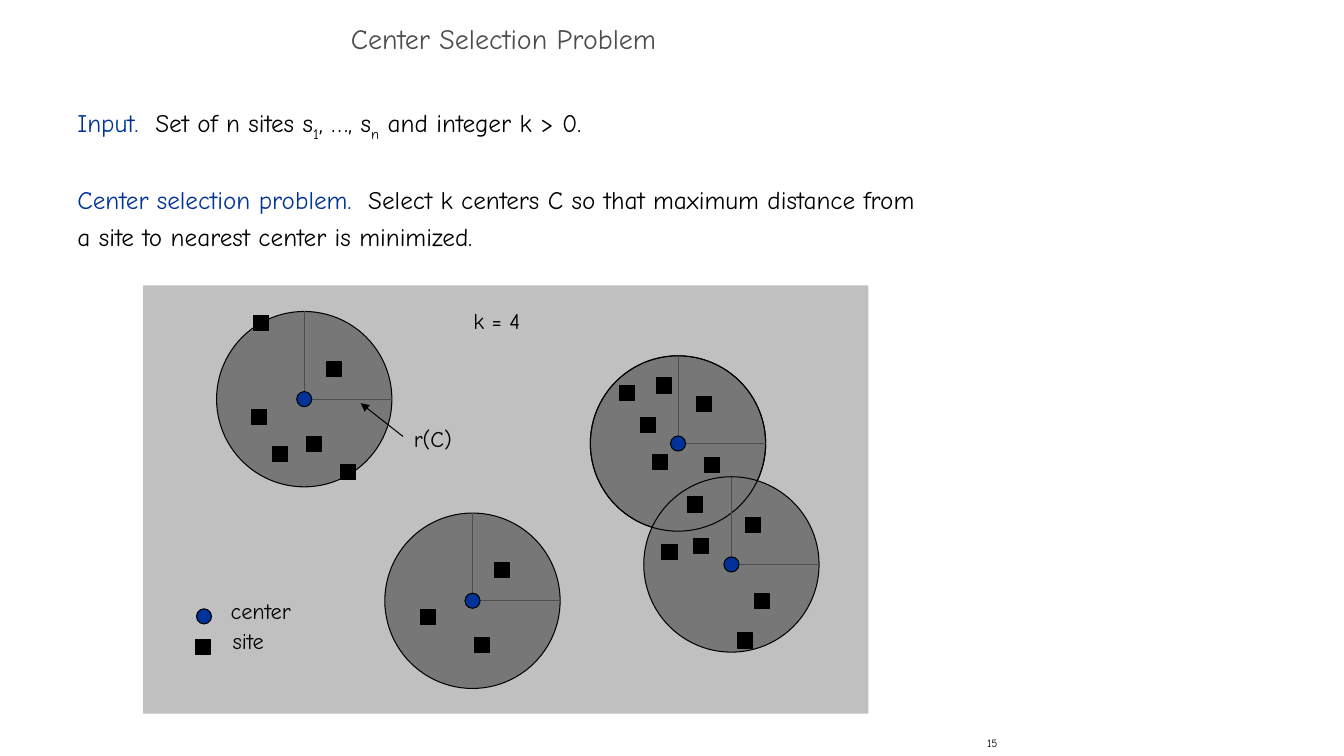
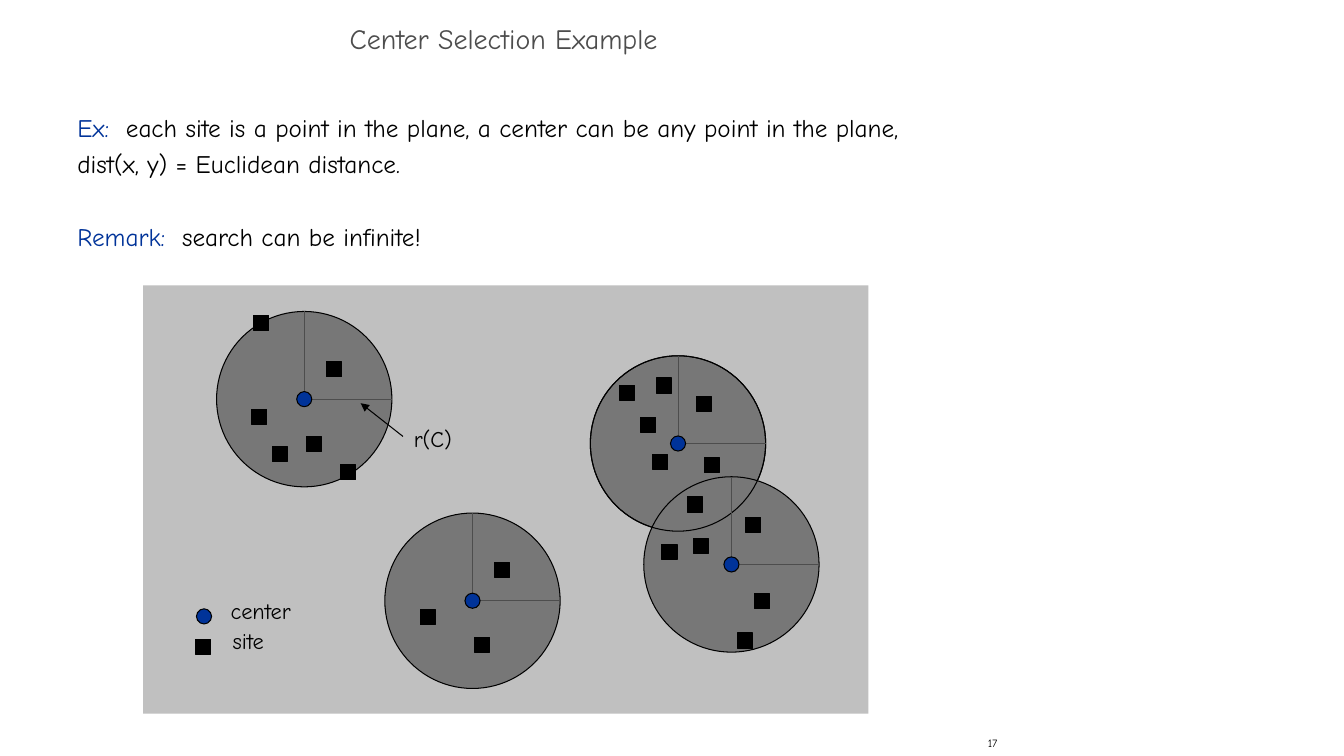
from lxml import etree
from pptx import Presentation
from pptx.dml.color import RGBColor
from pptx.enum.shapes import MSO_CONNECTOR, MSO_SHAPE
from pptx.enum.text import MSO_ANCHOR, MSO_AUTO_SIZE, PP_ALIGN
from pptx.oxml.ns import qn
from pptx.util import Inches, Pt

OVAL, SQUARE = MSO_SHAPE.OVAL, MSO_SHAPE.RECTANGLE
STRAIGHT = MSO_CONNECTOR.STRAIGHT
TOP, MIDDLE = MSO_ANCHOR.TOP, MSO_ANCHOR.MIDDLE
LEFT, CENTER, RIGHT = PP_ALIGN.LEFT, PP_ALIGN.CENTER, PP_ALIGN.RIGHT
NO_FIT, GROW = MSO_AUTO_SIZE.NONE, MSO_AUTO_SIZE.SHAPE_TO_FIT_TEXT

FONT = "Comic Neue"
COLORS = {
    "ink": "000000",
    "title": "4D4D4D",
    "accent": "003399",
    "field": "C0C0C0",
    "disc": "777777",
    "radius": "4D4D4D",
}

TITLE_BOX = (0, 0.17, 10, 0.5)
BODY_BOX = (0.67, 1, 8.58, 5.92)
NUMBER_BOX = (7.92, 7.25, 2.08, 0.25)
FIELD_BOX = (1.42, 2.83, 7.2, 4.25)
BODY_LEADING = Pt(26)

# Diagram coordinates are relative to the field's top left corner.
RADIUS = 0.87
MARK = 0.15
CENTERS = [(1.6, 1.13), (5.31, 1.57), (5.84, 2.77), (3.27, 3.13)]
OVERLAPPED = CENTERS[1]
SITES = [
    (1.96, 1.78), (1.1, 0.3), (1.62, 1.5), (1.08, 1.23), (1.28, 1.6),
    (1.82, 0.76), (4.94, 1.31), (5.57, 1.71), (5.1, 0.92), (5.06, 1.68),
    (5.49, 1.1), (4.73, 0.99), (5.4, 2.1), (5.9, 3.45), (6.07, 3.06),
    (5.46, 2.51), (5.15, 2.57), (5.98, 2.3), (3.29, 3.49), (2.75, 3.22),
    (3.49, 2.75),
]
RADIUS_ARROW = ((2.58, 1.5), (2.16, 1.17))
LABELS = [
    ("center", 0.77, 3.05, 0.81),
    ("site", 0.79, 3.34, 0.52),
    ("r(C)", 2.59, 1.34, 0.58),
]
COUNT_LABEL = ("k = 4", 3.18, 0.17, 0.67)
LABEL_HEIGHT = 0.37

SLIDES = [
    {
        "title": "Center Selection Problem",
        "number": "15",
        "body": [
            [("Input.  ", "accent", 0), ("Set of n sites s", "ink", 0),
             ("1", "ink", -25), (", …, s", "ink", 0), ("n", "ink", -25),
             (" and integer k > 0.", "ink", 0)],
            [("Center selection problem.  ", "accent", 0),
             ("Select k centers C so that maximum distance from a site to "
              "nearest center is minimized.", "ink", 0)],
        ],
        "labels": LABELS + [COUNT_LABEL],
    },
    {
        "title": "Center Selection Example",
        "number": "17",
        "body": [
            [("Ex:  ", "accent", 0),
             ("each site is a point in the plane, a center can be any point "
              "in the plane, dist(x, y) = Euclidean distance.", "ink", 0)],
            [("Remark:  ", "accent", 0),
             ("search can be infinite!", "ink", 0)],
        ],
        "labels": LABELS,
    },
]


def rgb(name):
    return RGBColor.from_string(COLORS[name])


def set_all(target, values):
    for name, value in values.items():
        setattr(target, name, value)


def add_text(page, area, paragraphs, size, frame_format=None, para_format=None):
    """Write paragraphs, each a list of (text, colour, baseline percent)."""
    box = page.shapes.add_textbox(*map(Inches, area))
    frame = box.text_frame
    set_all(frame, {"word_wrap": True, "vertical_anchor": TOP,
                    "auto_size": NO_FIT, **(frame_format or {})})
    for index, spans in enumerate(paragraphs):
        para = frame.add_paragraph() if index else frame.paragraphs[0]
        set_all(para, {"alignment": LEFT, **(para_format or {})})
        if index:
            para.space_before = BODY_LEADING
        for text, color, baseline in spans:
            span = para.add_run()
            span.text = text
            set_all(span.font, {"name": FONT, "size": Pt(size)})
            span.font.color.rgb = rgb(color)
            if baseline:
                span.font._element.set("baseline", str(baseline * 1000))


def add_figure(page, kind, area, fill=None, line="ink"):
    shape = page.shapes.add_shape(kind, *map(Inches, area))
    shape.shadow.inherit = False
    if fill:
        shape.fill.solid()
        shape.fill.fore_color.rgb = rgb(fill)
    else:
        shape.fill.background()
    if line:
        shape.line.color.rgb = rgb(line)
        shape.line.width = Pt(0.75)
    else:
        shape.line.fill.background()


def add_line(page, start, end, color, arrow=False):
    line = page.shapes.add_connector(STRAIGHT, *map(Inches, (*start, *end)))
    line.line.color.rgb = rgb(color)
    line.line.width = Pt(0.75)
    if arrow:
        outline = line.line._get_or_add_ln()
        etree.SubElement(outline, qn("a:tailEnd"), type="triangle")
    etree.SubElement(line._element.spPr, qn("a:effectLst"))


def around(x, y, reach):
    """Square area that reaches the same distance each way from a point."""
    return x - reach, y - reach, 2 * reach, 2 * reach


def add_diagram(page, area, labels):
    left, top = area[:2]

    def place(point):
        return left + point[0], top + point[1]

    add_figure(page, SQUARE, area, "field", None)
    for center in CENTERS:
        add_figure(page, OVAL, around(*place(center), RADIUS), "disc")
    add_figure(page, OVAL, around(*place(OVERLAPPED), RADIUS))
    for center in CENTERS:
        x, y = place(center)
        add_line(page, (x + MARK / 2, y), (x + RADIUS, y), "radius")
        add_line(page, (x, y - MARK / 2), (x, y - RADIUS), "radius")
        add_figure(page, OVAL, around(x, y, MARK / 2), "accent")
    add_figure(page, OVAL, (*place((0.53, 3.21)), MARK, MARK), "accent")
    for site in SITES + [(0.52, 3.51)]:
        add_figure(page, SQUARE, (*place(site), MARK, MARK), "ink")
    add_line(page, *map(place, RADIUS_ARROW), "ink", arrow=True)
    for text, x, y, width in labels:
        add_text(page, (*place((x, y)), width, LABEL_HEIGHT),
                 [[(text, "ink", 0)]], 16,
                 {"word_wrap": False, "auto_size": GROW})


def add_frame(page, title, number):
    """Title and page number shared by all slides."""
    add_text(page, TITLE_BOX, [[(title, "title", 0)]], 20,
             {"vertical_anchor": MIDDLE},
             {"alignment": CENTER, "line_spacing": 0.7})
    add_text(page, NUMBER_BOX, [[(number, "ink", 0)]], 8,
             {"vertical_anchor": MIDDLE, "word_wrap": False},
             {"alignment": RIGHT})


def main():
    deck = Presentation()
    deck.slide_width, deck.slide_height = Inches(13.34), Inches(7.5)
    for content in SLIDES:
        page = deck.slides.add_slide(deck.slide_layouts[6])
        add_frame(page, content["title"], content["number"])
        add_diagram(page, FIELD_BOX, content["labels"])
        add_text(page, BODY_BOX, content["body"], 18,
                 para_format={"line_spacing": BODY_LEADING})
    deck.save("out.pptx")


if __name__ == "__main__":
    main()
